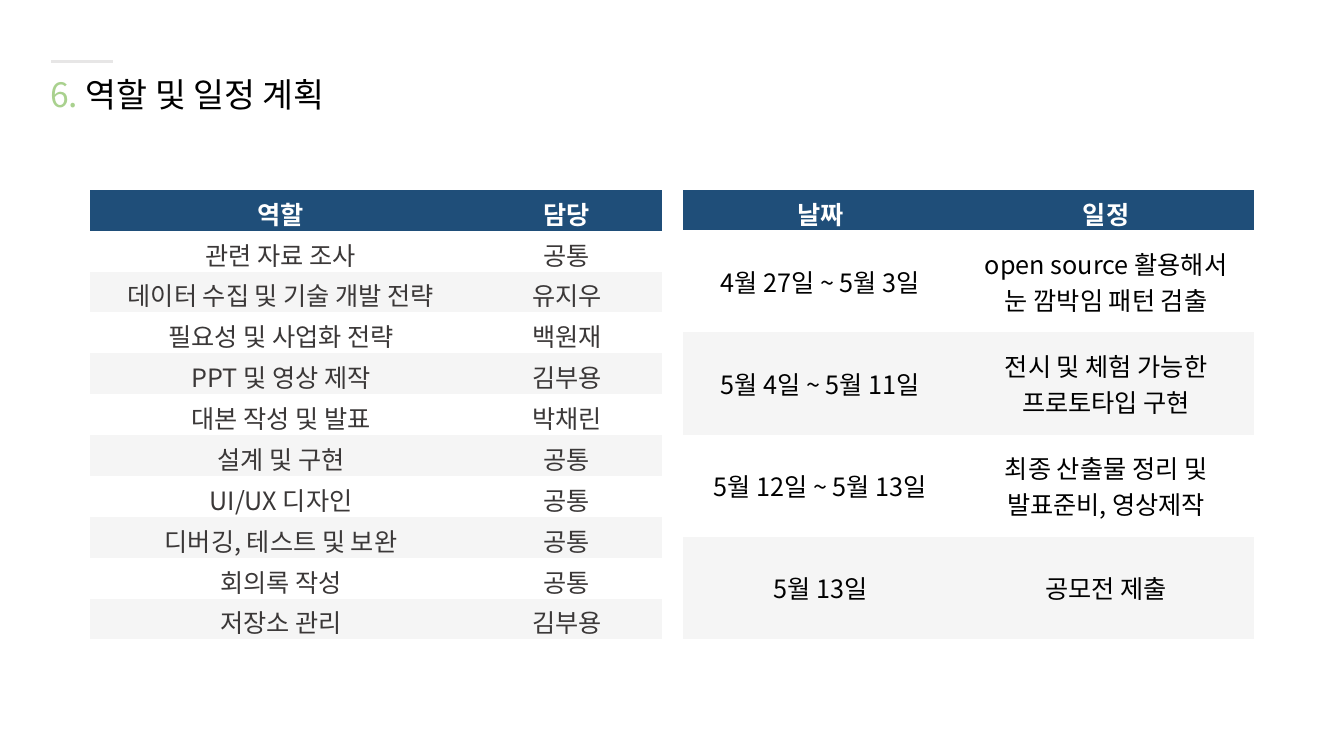
import pptx
import pptx.dml.color
import pptx.enum.shapes
import pptx.enum.text
import pptx.oxml.ns
import pptx.util
from lxml import etree

Pt = pptx.util.Pt
RGBColor = pptx.dml.color.RGBColor
qn = pptx.oxml.ns.qn

NAVY = RGBColor(0x1F, 0x4E, 0x79)
GREEN = RGBColor(0xA9, 0xD1, 0x8E)
STRIPE = RGBColor(0xF5, 0xF5, 0xF5)
RULE = RGBColor(0xE7, 0xE6, 0xE6)
DARK = RGBColor(0x3B, 0x38, 0x38)
WHITE = RGBColor(0xFF, 0xFF, 0xFF)
BLACK = RGBColor(0, 0, 0)

FONT = "Noto Sans CJK KR"
NO_GRID = "{2D5ABB26-0587-4C30-8999-92F81FD0307C}"

ROLES = [
    ("역할", "담당"),
    ("관련 자료 조사", "공통"),
    ("데이터 수집 및 기술 개발 전략", "유지우"),
    ("필요성 및 사업화 전략", "백원재"),
    ("PPT 및 영상 제작", "김부용"),
    ("대본 작성 및 발표", "박채린"),
    ("설계 및 구현", "공통"),
    ("UI/UX 디자인", "공통"),
    ("디버깅, 테스트 및 보완", "공통"),
    ("회의록 작성", "공통"),
    ("저장소 관리", "김부용"),
]
SCHEDULE = [
    ("날짜", "일정"),
    ("4월 27일 ~ 5월 3일", "open source 활용해서\n눈 깜박임 패턴 검출"),
    ("5월 4일 ~ 5월 11일", "전시 및 체험 가능한\n프로토타입 구현"),
    ("5월 12일 ~ 5월 13일", "최종 산출물 정리 및\n발표준비, 영상제작"),
    ("5월 13일", "공모전 제출"),
]


class Deck:
    def __init__(self, width, height):
        self.prs = pptx.Presentation()
        self.prs.slide_width, self.prs.slide_height = Pt(width), Pt(height)
        self.s = self.prs.slides.add_slide(self.prs.slide_layouts[6])

    def run(self, p, text, color, size, bold=False):
        r = p.add_run()
        r.text = text
        for name, value in {"name": FONT, "size": Pt(size), "bold": bold}.items():
            setattr(r.font, name, value)
        r.font.color.rgb = color
        # East Asian typeface for the Korean text
        etree.SubElement(r.font._element, qn("a:ea"), typeface=FONT)

    def rule(self, x1, y1, x2, y2, color, weight):
        sp = self.s.shapes.add_connector(
            pptx.enum.shapes.MSO_CONNECTOR.STRAIGHT, Pt(x1), Pt(y1), Pt(x2), Pt(y2))
        sp.line.color.rgb = color
        sp.line.width = Pt(weight)
        etree.SubElement(sp._element.spPr, qn("a:effectLst"))

    def text(self, x, y, w, h, runs, size):
        tf = self.s.shapes.add_textbox(Pt(x), Pt(y), Pt(w), Pt(h)).text_frame
        for name, value in {"word_wrap": True, "margin_top": 0, "margin_bottom": 0}.items():
            setattr(tf, name, value)
        for text, color in runs:
            self.run(tf.paragraphs[0], text, color, size)

    def table(self, x, y, widths, head_height, row_height, rows, color):
        height = head_height + row_height * (len(rows) - 1)
        tbl = self.s.shapes.add_table(
            len(rows), len(widths), Pt(x), Pt(y), Pt(sum(widths)), Pt(height)).table
        tbl._tbl.tblPr.find(qn("a:tableStyleId")).text = NO_GRID
        for column, width in zip(tbl.columns, widths):
            column.width = Pt(width)
        for i, row in enumerate(rows):
            head = i == 0
            tbl.rows[i].height = Pt(head_height if head else row_height)
            fill = NAVY if head else (WHITE if i % 2 else STRIPE)
            for j, text in enumerate(row):
                self.cell(tbl.cell(i, j), text, fill, WHITE if head else color, head)

    def cell(self, cell, text, fill, color, bold):
        cell.fill.solid()
        cell.fill.fore_color.rgb = fill
        cell.vertical_anchor = pptx.enum.text.MSO_ANCHOR.MIDDLE
        tf = cell.text_frame
        for k, line in enumerate(text.split("\n")):
            p = tf.add_paragraph() if k else tf.paragraphs[0]
            p.alignment = pptx.enum.text.PP_ALIGN.CENTER
            self.run(p, line, color, 18, bold)


def main():
    deck = Deck(960, 540)

    # Heading
    deck.rule(36.5, 44, 80.5, 44, RULE, 1.75)
    deck.text(28.8, 53, 240.5, 28, [("6. ", GREEN), ("역할 및 일정 계획", BLACK)], 24)

    # Roles and schedule
    deck.table(64.2, 135.6, [273, 135.4], 29.2, 29.2, ROLES, DARK)
    deck.table(487.7, 135.6, [196.5, 211.8], 26.6, 73, SCHEDULE, BLACK)

    deck.prs.save("out.pptx")


if __name__ == "__main__":
    main()
